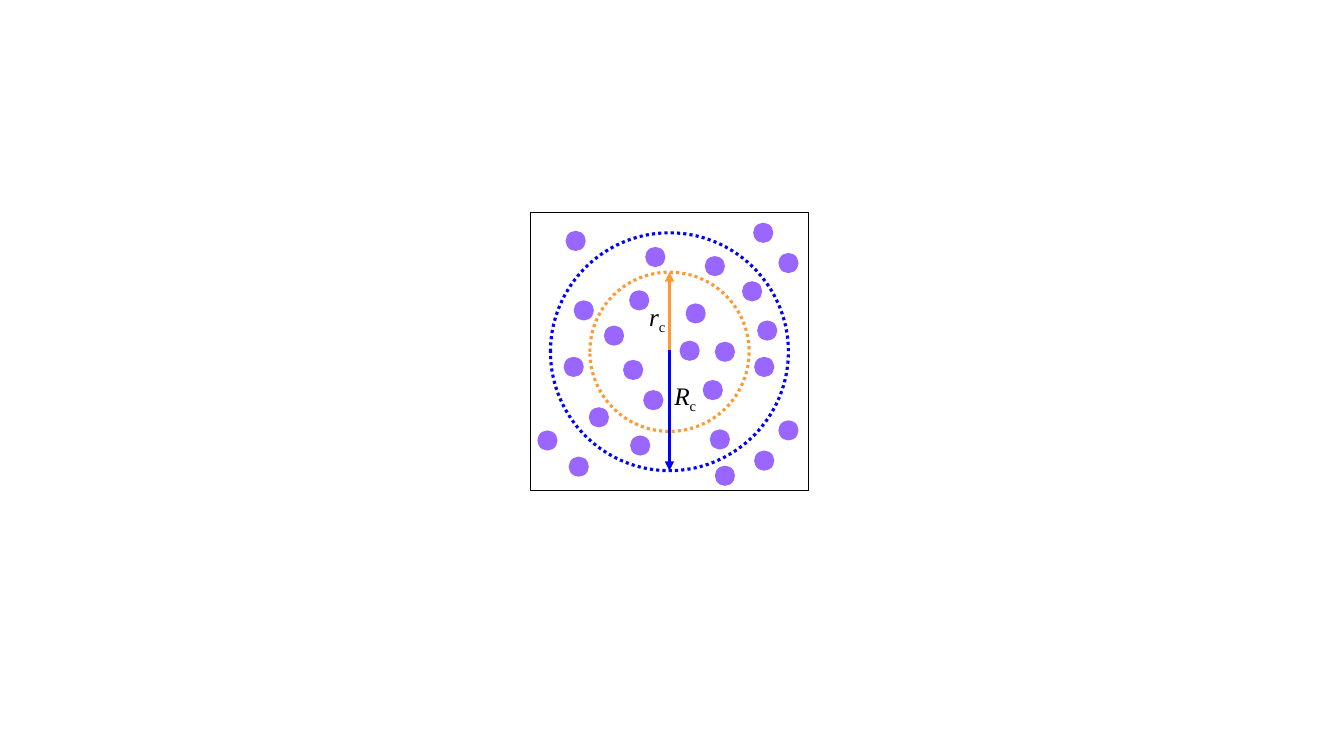
from pptx import Presentation
from pptx.dml.color import RGBColor
from pptx.enum.dml import MSO_LINE
from pptx.enum.shapes import MSO_CONNECTOR, MSO_SHAPE
from pptx.enum.text import MSO_AUTO_SIZE
from pptx.oxml.ns import qn
from pptx.util import Inches, Pt
from lxml.etree import SubElement

BLACK = RGBColor(0x00, 0x00, 0x00)
BLUE = RGBColor(0x00, 0x00, 0xFF)
ORANGE = RGBColor(0xFF, 0x99, 0x33)
PURPLE = RGBColor(0x99, 0x66, 0xFF)

DOT = 0.2
DOTS = [
    (2.21, 0.10), (0.35, 0.18), (2.46, 0.40), (1.14, 0.34), (2.10, 0.68),
    (2.22, 1.43), (1.78, 2.15), (2.46, 2.06), (2.22, 2.36), (1.83, 2.51),
    (0.07, 2.16), (0.38, 2.42), (0.99, 2.21), (0.58, 1.93), (0.33, 1.43),
    (0.43, 0.87), (0.92, 1.46), (1.48, 1.27), (1.12, 1.76), (1.71, 1.66),
    (1.83, 1.28), (1.54, 0.90), (0.98, 0.77), (0.73, 1.12), (1.73, 0.43),
    (2.25, 1.07),
]


def add_form(shapes, kind, x, y, size, fill=None, line=None, width=1, dash=None):
    form = shapes.add_shape(kind, Inches(x), Inches(y), Inches(size), Inches(size))
    form.shadow.inherit = False
    if fill is None:
        form.fill.background()
    else:
        form.fill.solid()
        form.fill.fore_color.rgb = fill
    if line is None:
        form.line.fill.background()
    else:
        form.line.color.rgb = line
        form.line.width = Pt(width)
        if dash is not None:
            form.line.dash_style = dash


def add_ring(shapes, x, y, radius, color):
    add_form(shapes, MSO_SHAPE.OVAL, x - radius, y - radius, 2 * radius,
             line=color, width=2.25, dash=MSO_LINE.ROUND_DOT)


def add_arrow(shapes, x, start, end, color):
    arrow = shapes.add_connector(
        MSO_CONNECTOR.STRAIGHT, Inches(x), Inches(start), Inches(x), Inches(end))
    arrow.line.color.rgb = color
    arrow.line.width = Pt(2.25)
    SubElement(arrow.line._get_or_add_ln(), qn("a:tailEnd"), type="triangle")
    SubElement(arrow._element.spPr, qn("a:effectLst"))


def add_text(para, text, size=18, font="Times New Roman", color=BLACK,
             italic=False, base=None):
    run = para.add_run()
    run.text = text
    run.font.size = Pt(size)
    run.font.name = font
    run.font.color.rgb = color
    run.font.italic = italic
    if base is not None:
        run._r.get_or_add_rPr().set("baseline", str(base * 1000))


def add_label(shapes, x, y, name, sub):
    box = shapes.add_textbox(Inches(x), Inches(y), Inches(0.66), Inches(0.4))
    frame = box.text_frame
    frame.word_wrap = True
    frame.auto_size = MSO_AUTO_SIZE.SHAPE_TO_FIT_TEXT
    para = frame.paragraphs[0]
    add_text(para, name, italic=True)
    add_text(para, sub, base=-25)


def draw_cell(slide, left, top, size):
    shapes = slide.shapes
    mid_x, mid_y = left + size / 2, top + size / 2
    add_ring(shapes, mid_x, mid_y, 1.18, BLUE)
    add_form(shapes, MSO_SHAPE.RECTANGLE, left, top, size, line=BLACK)
    add_ring(shapes, mid_x, mid_y, 0.79, ORANGE)
    group = shapes.add_group_shape()
    for x, y in DOTS:
        add_form(group.shapes, MSO_SHAPE.OVAL, left + x, top + y, DOT, fill=PURPLE)
    add_arrow(shapes, mid_x, mid_y, mid_y - 0.79, ORANGE)
    add_label(shapes, left + 1.08, top + 0.83, "r", "c")
    add_arrow(shapes, mid_x, mid_y - 0.02, mid_y + 1.18, BLUE)
    add_label(shapes, left + 1.33, top + 1.61, "R", "c")


def main():
    deck = Presentation()
    deck.slide_width = Inches(13.33)
    deck.slide_height = Inches(7.5)
    slide = deck.slides.add_slide(deck.slide_layouts[6])
    draw_cell(slide, 5.26, 2.11, 2.76)
    deck.save("out.pptx")


if __name__ == "__main__":
    main()
